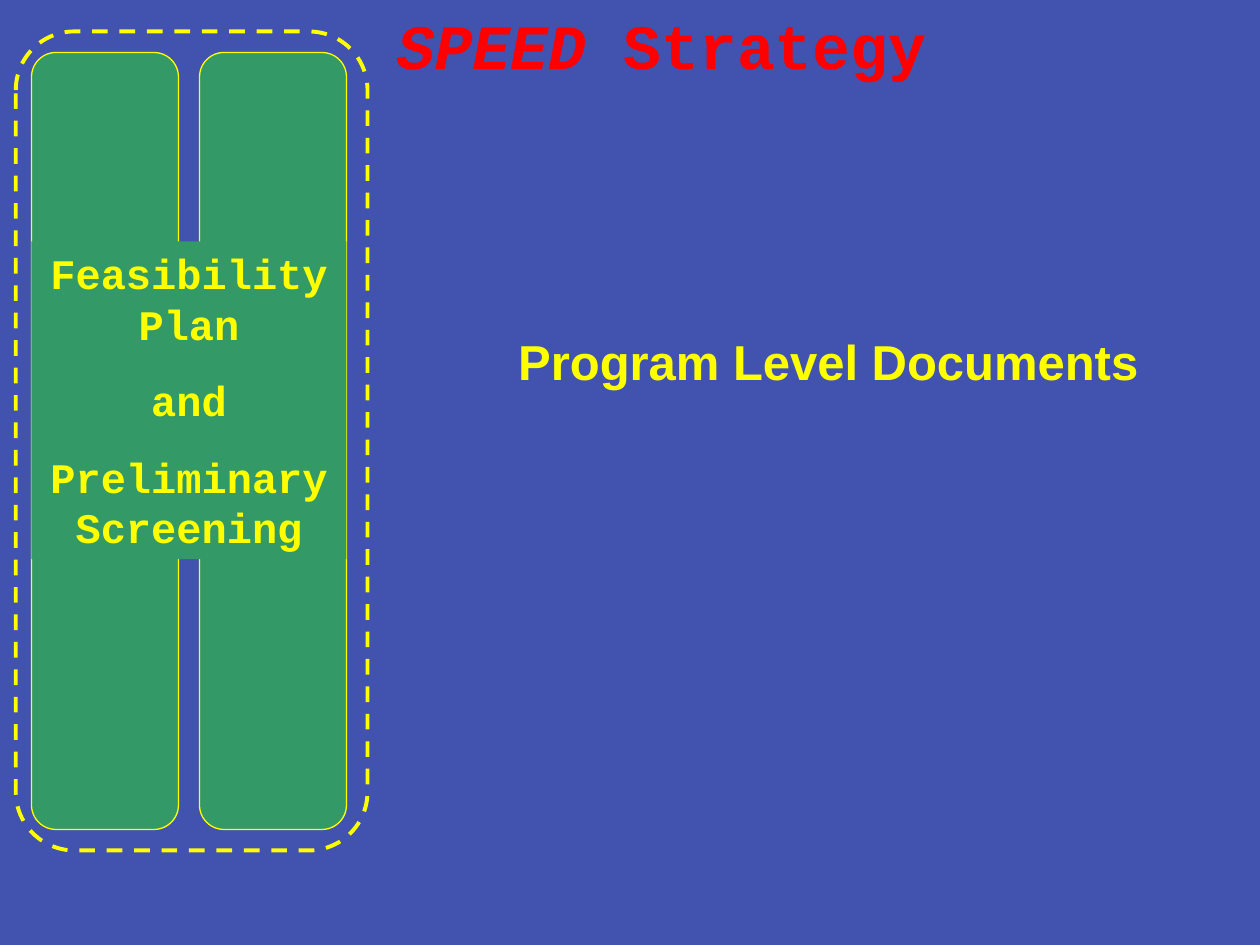
from dataclasses import dataclass

from pptx import Presentation
from pptx.dml.color import RGBColor
from pptx.enum.dml import MSO_LINE
from pptx.enum.shapes import MSO_SHAPE
from pptx.enum.text import MSO_ANCHOR, MSO_AUTO_SIZE, PP_ALIGN
from pptx.util import Pt

COLORS = {"background": "4153AF", "panel": "339966", "accent": "FFFF00", "heading": "FF0000"}


@dataclass(frozen=True)
class Box:
    left: float
    top: float
    width: float
    height: float

    def lengths(self) -> tuple:
        return Pt(self.left), Pt(self.top), Pt(self.width), Pt(self.height)


@dataclass(frozen=True)
class TextStyle:
    font: str
    size: float
    color: str
    space_before: float = 0


@dataclass(frozen=True)
class Panel:
    box: Box
    outline: float = 0
    filled: bool = True
    rounded: bool = True


FRAME = Panel(Box(9, 18, 201, 468), outline=2.25, filled=False)
COLUMNS = [Panel(Box(18 + 96 * i, 30, 84, 444), outline=0.75) for i in range(2)]
BAND = Panel(Box(18, 138, 180, 181.5), rounded=False)

TITLE_STYLE = TextStyle("Courier New", 36, "heading")
PHASE_STYLE = TextStyle("Courier New", 24, "accent", space_before=15)
DOCUMENTS_STYLE = TextStyle("Arial", 28, "accent")


def rgb(name: str) -> RGBColor:
    return RGBColor.from_string(COLORS[name])


def apply(target, values: dict) -> None:
    for attribute, value in values.items():
        setattr(target, attribute, value)


def draw_panel(shapes, panel: Panel):
    kind = MSO_SHAPE.ROUNDED_RECTANGLE if panel.rounded else MSO_SHAPE.RECTANGLE
    shape = shapes.add_shape(kind, *panel.box.lengths())
    shape.shadow.inherit = False
    if panel.filled:
        shape.fill.solid()
        shape.fill.fore_color.rgb = rgb("panel")
    else:
        shape.fill.background()
    if panel.outline:
        shape.line.color.rgb = rgb("accent")
        shape.line.width = Pt(panel.outline)
    else:
        shape.line.fill.background()
    return shape


def write(shape, paragraphs: list, style: TextStyle) -> None:
    """Fill a shape with paragraphs, each a list of (words, italic) runs."""
    frame = shape.text_frame
    apply(frame, {
        "word_wrap": True,
        "auto_size": MSO_AUTO_SIZE.SHAPE_TO_FIT_TEXT,
        "vertical_anchor": MSO_ANCHOR.TOP,
        "margin_left": Pt(7.2), "margin_right": Pt(7.2),
        "margin_top": Pt(3.6), "margin_bottom": Pt(3.6),
    })
    for index, runs in enumerate(paragraphs):
        paragraph = frame.add_paragraph() if index else frame.paragraphs[0]
        apply(paragraph, {
            "alignment": PP_ALIGN.CENTER,
            "space_before": Pt(style.space_before if index else 0),
        })
        for words, italic in runs:
            run = paragraph.add_run()
            run.text = words
            apply(run.font, {"name": style.font, "size": Pt(style.size),
                             "bold": True, "italic": italic})
            run.font.color.rgb = rgb(style.color)


def main() -> None:
    deck = Presentation()
    apply(deck, {"slide_width": Pt(720), "slide_height": Pt(540)})
    slide = deck.slides.add_slide(deck.slide_layouts[5])
    slide.background.fill.solid()
    slide.background.fill.fore_color.rgb = rgb("background")

    title = slide.shapes.title
    title_place = Box(210, 0, 336, 50.4).lengths()
    apply(title, dict(zip(("left", "top", "width", "height"), title_place)))
    write(title, [[("SPEED ", True), ("Strategy", False)]], TITLE_STYLE)

    phase = slide.shapes.add_group_shape().shapes
    draw_panel(phase, FRAME).line.dash_style = MSO_LINE.DASH
    for column in COLUMNS:
        draw_panel(phase, column)
    steps = ["Feasibility Plan", "and", "Preliminary Screening"]
    write(draw_panel(phase, BAND), [[(step, False)] for step in steps], PHASE_STYLE)

    documents = slide.shapes.add_textbox(*Box(276, 186, 394.5, 41).lengths())
    write(documents, [[("Program Level Documents", False)]], DOCUMENTS_STYLE)

    deck.save("out.pptx")


if __name__ == "__main__":
    main()
